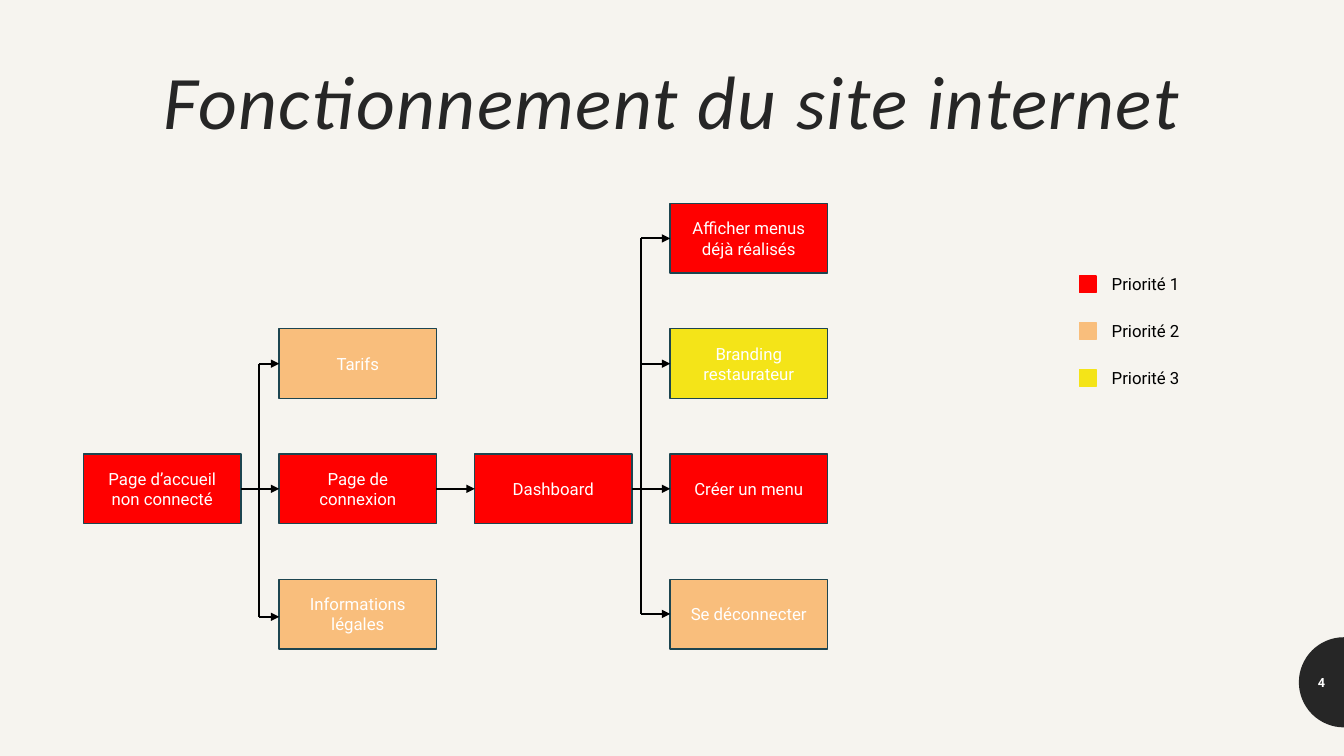
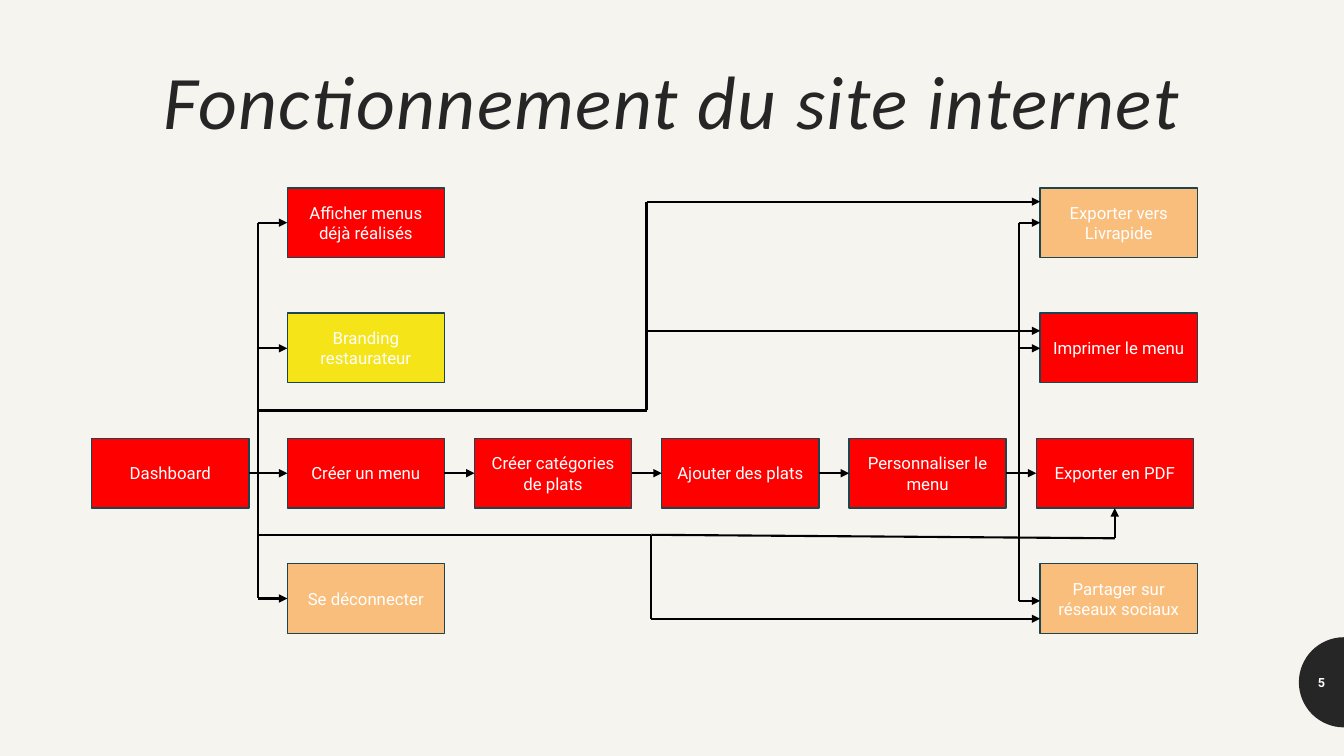
from dataclasses import dataclass
from itertools import pairwise
from math import cos, pi, sin

from lxml import etree
from pptx import Presentation
from pptx.dml.color import RGBColor
from pptx.enum import shapes, text
from pptx.oxml import ns
from pptx.util import Pt


@dataclass(frozen=True)
class Theme:
    background: str = "F6F4EF"
    dark: str = "262626"
    white: str = "FFFFFF"
    black: str = "000000"
    border: str = "1D4550"
    priorities: tuple = ("FF0000", "F9BE7C", "F4E418")
    title_font: str = "Calibri"
    body_font: str = "Roboto"
    title_size: int = 54
    body_size: int = 12
    number_size: int = 9


theme = Theme()
color = RGBColor.from_string


def write_text(shape, content, font_name, size, font_color, alignment, anchor):
    frame = shape.text_frame
    frame.word_wrap = True
    frame.auto_size = text.MSO_AUTO_SIZE.NONE
    frame.vertical_anchor = anchor
    frame.text = content
    paragraph = frame.paragraphs[0]
    paragraph.alignment = alignment
    font = paragraph.runs[0].font
    font.name = font_name
    font.size = Pt(size)
    font.color.rgb = color(font_color)
    return paragraph


def draw_route(slide, points, arrow=True):
    for start, end in pairwise(points):
        connector = slide.shapes.add_connector(
            shapes.MSO_CONNECTOR.STRAIGHT, *(Pt(value) for value in start + end)
        )
        connector.line.color.rgb = color(theme.black)
        connector.line.width = Pt(1.5)
        properties = connector.element.spPr
        etree.SubElement(properties, ns.qn("a:effectLst"))
        if arrow and end == points[-1]:
            line = properties.find(ns.qn("a:ln"))
            etree.SubElement(line, ns.qn("a:tailEnd"), type="triangle")


LEFT, CENTER = text.PP_ALIGN.LEFT, text.PP_ALIGN.CENTER
TOP, MIDDLE = text.MSO_ANCHOR.TOP, text.MSO_ANCHOR.MIDDLE

SLIDE_WIDTH, SLIDE_HEIGHT = 960, 540
BOX_WIDTH, BOX_HEIGHT = 112.3, 49.7
ROW_PITCH = 89.5
CHAIN_ROW = 2
BADGE_RADIUS, BADGE_MIDDLE = 32.2, 487.4
LEGEND_LEFT, LEGEND_TOP, LEGEND_PITCH = 771, 197, 33.5

site_columns = [59.8 + 139.65 * index for index in range(4)]
menu_columns = [65.5] + [205.2 + 133.75 * index for index in range(5)]
export_left = 743

diagrams = [
    {
        "number": "4",
        "top": 145.3,
        "chain": site_columns,
        "boxes": [
            ("Page d’accueil non connecté", site_columns[0], 2, 1),
            ("Tarifs", site_columns[1], 1, 2),
            ("Page de connexion", site_columns[1], 2, 1),
            ("Informations légales", site_columns[1], 3, 2),
            ("Dashboard", site_columns[2], 2, 1),
            ("Afficher menus déjà réalisés", site_columns[3], 0, 1),
            ("Branding restaurateur", site_columns[3], 1, 3),
            ("Créer un menu", site_columns[3], 2, 1),
            ("Se déconnecter", site_columns[3], 3, 2),
        ],
        "forks": [
            (185, site_columns[1], (259.8, 440.6)),
            (458, site_columns[3], (170.3, 259.8, 438.5)),
        ],
        "routes": [],
        "legend": ["Priorité 1", "Priorité 2", "Priorité 3"],
    },
    {
        "number": "5",
        "top": 134.2,
        "chain": menu_columns,
        "boxes": [
            ("Dashboard", menu_columns[0], 2, 1),
            ("Afficher menus déjà réalisés", menu_columns[1], 0, 1),
            ("Branding restaurateur", menu_columns[1], 1, 3),
            ("Créer un menu", menu_columns[1], 2, 1),
            ("Se déconnecter", menu_columns[1], 3, 2),
            ("Créer catégories de plats", menu_columns[2], 2, 1),
            ("Ajouter des plats", menu_columns[3], 2, 1),
            ("Personnaliser le menu", menu_columns[4], 2, 1),
            ("Exporter en PDF", menu_columns[5], 2, 1),
            ("Exporter vers Livrapide", export_left, 0, 2),
            ("Imprimer le menu", export_left, 1, 1),
            ("Partager sur réseaux sociaux", export_left, 3, 2),
        ],
        "forks": [
            (184.4, menu_columns[1], (159.1, 248.8, 427.5)),
            (728, export_left, (159.1, 248.8, 429.2)),
        ],
        "routes": [
            [(184.4, 293.2), (461.8, 293.2), (461.8, 144), (export_left, 144)],
            [(461.8, 236.3), (export_left, 236.3)],
            [(184.4, 382), (465.2, 382), (796.3, 384.5), (796.3, 363)],
            [(465.2, 382), (465.2, 442), (export_left, 442)],
        ],
        "legend": [],
    },
]

presentation = Presentation()
presentation.slide_width = Pt(SLIDE_WIDTH)
presentation.slide_height = Pt(SLIDE_HEIGHT)
background = presentation.slide_master.background.fill
background.solid()
background.fore_color.rgb = color(theme.background)

layout = presentation.slide_layouts.get_by_name("Title Only")
layout_title = layout.placeholders[0]
layout_title.left, layout_title.top = Pt(60), Pt(42.5)
layout_title.width, layout_title.height = Pt(840), Pt(74)

for diagram in diagrams:
    slide = presentation.slides.add_slide(layout)
    title = write_text(
        slide.shapes.title, "Fonctionnement du site internet",
        theme.title_font, theme.title_size, theme.dark, CENTER, TOP,
    )
    title.line_spacing = 0.9
    title.runs[0].font.italic = True
    title.runs[0]._r.get_or_add_rPr().set("spc", "100")

    arc = [
        (Pt(SLIDE_WIDTH - BADGE_RADIUS * sin(pi * step / 32)),
         Pt(BADGE_MIDDLE - BADGE_RADIUS * cos(pi * step / 32)))
        for step in range(33)
    ]
    builder = slide.shapes.build_freeform(*arc[0])
    builder.add_line_segments(arc[1:], close=True)
    badge = builder.convert_to_shape()
    badge.shadow.inherit = False
    badge.fill.solid()
    badge.fill.fore_color.rgb = color(theme.dark)
    badge.line.fill.background()

    number = slide.shapes.add_textbox(
        Pt(SLIDE_WIDTH - BADGE_RADIUS), Pt(473), Pt(BADGE_RADIUS), Pt(29)
    )
    frame = number.text_frame
    frame.margin_left = frame.margin_right = Pt(3.6)
    paragraph = write_text(
        number, diagram["number"], theme.body_font, theme.number_size,
        theme.white, CENTER, MIDDLE,
    )
    paragraph.runs[0].font.bold = True

    for label, left, row, priority in diagram["boxes"]:
        box = slide.shapes.add_shape(
            shapes.MSO_SHAPE.RECTANGLE, Pt(left),
            Pt(diagram["top"] + row * ROW_PITCH), Pt(BOX_WIDTH), Pt(BOX_HEIGHT),
        )
        box.shadow.inherit = False
        box.fill.solid()
        box.fill.fore_color.rgb = color(theme.priorities[priority - 1])
        box.line.color.rgb = color(theme.border)
        box.line.width = Pt(1)
        write_text(
            box, label, theme.body_font, theme.body_size,
            theme.white, CENTER, MIDDLE,
        )

    chain_middle = diagram["top"] + CHAIN_ROW * ROW_PITCH + BOX_HEIGHT / 2
    for left, next_left in pairwise(diagram["chain"]):
        draw_route(
            slide, [(left + BOX_WIDTH, chain_middle), (next_left, chain_middle)]
        )

    for trunk, target, branches in diagram["forks"]:
        draw_route(
            slide, [(trunk, branches[0]), (trunk, branches[-1])], arrow=False
        )
        for branch in branches:
            draw_route(slide, [(trunk, branch), (target, branch)])

    for route in diagram["routes"]:
        draw_route(slide, route)

    for index, label in enumerate(diagram["legend"]):
        top = LEGEND_TOP + index * LEGEND_PITCH
        swatch = slide.shapes.add_shape(
            shapes.MSO_SHAPE.RECTANGLE, Pt(LEGEND_LEFT), Pt(top), Pt(12), Pt(12)
        )
        swatch.shadow.inherit = False
        swatch.fill.solid()
        swatch.fill.fore_color.rgb = color(theme.priorities[index])
        swatch.line.color.rgb = color(theme.priorities[index])
        swatch.line.width = Pt(1)
        caption = slide.shapes.add_textbox(
            Pt(LEGEND_LEFT + 16), Pt(top - 5), Pt(123), Pt(22)
        )
        write_text(
            caption, label, theme.body_font, theme.body_size,
            theme.black, LEFT, TOP,
        )

presentation.save("out.pptx")
